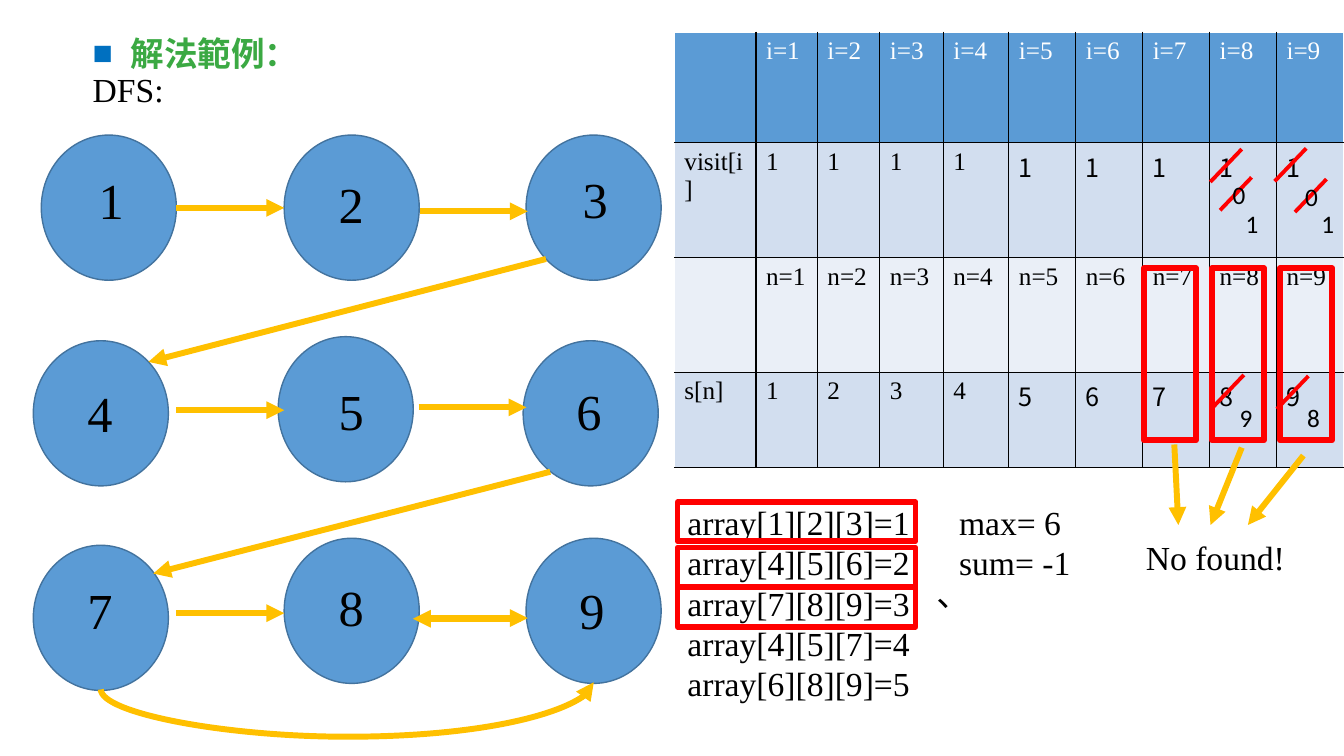
from lxml.etree import SubElement
from pptx import Presentation
from pptx.dml.color import RGBColor
from pptx.enum.lang import MSO_LANGUAGE_ID as Language
from pptx.enum.shapes import MSO_CONNECTOR as Connector, MSO_SHAPE as Shape
from pptx.enum.text import MSO_ANCHOR as Anchor, MSO_AUTO_SIZE as AutoSize
from pptx.oxml.ns import qn
from pptx.util import Pt

BLACK = RGBColor(0, 0, 0)
WHITE = RGBColor(255, 255, 255)
BLUE = RGBColor(0x5B, 0x9B, 0xD5)
DARK_BLUE = RGBColor(0x43, 0x73, 0x9E)
BULLET_BLUE = RGBColor(0x00, 0x70, 0xC0)
BAND = RGBColor(0xD2, 0xDE, 0xEF)
LIGHT_BAND = RGBColor(0xEA, 0xEF, 0xF7)
GREEN = RGBColor(0x3B, 0xA9, 0x43)
GOLD = RGBColor(0xFF, 0xC0, 0x00)
RED = RGBColor(0xFF, 0, 0)

SERIF, SANS, CJK = "Times New Roman", "Calibri", "Noto Sans CJK SC"

# digit, circle left and top, label left and top
NODES = [
    ("1", 29.5, 96.5, 63.4, 117.4), ("2", 203, 96.5, 234.7, 120.2), ("3", 375.8, 96.5, 409, 116.6),
    ("4", 23.8, 243.4, 55.4, 269.3), ("5", 198.7, 240.5, 234.7, 267.8), ("6", 373.7, 243.4, 404.6, 267.8),
    ("7", 23.8, 389.5, 55.4, 410.4), ("8", 203, 384.5, 234.7, 408.2), ("9", 375.8, 384.5, 406.8, 410.4),
]
ARROWS = [
    (126, 148.5, 203, 148.5), (300, 151, 377, 151), (390, 185, 106, 258.5),
    (126, 293, 203, 293), (299, 291, 376, 291), (393, 337, 109.5, 409.7),
    (126, 438, 203, 438), (300, 441.5, 377, 441.5), (372, 442, 295, 442),
    (838.8, 317.5, 841.7, 375), (887, 319.7, 864.7, 375), (931, 325.4, 891.4, 375),
]
STRIKES = [(933, 106), (887, 106.5), (947.5, 128), (894, 126.7), (888.5, 267.8), (934.6, 268.6)]
CORRECTIONS = [
    ("0", 925.2, 126), ("0", 873.4, 124.6), ("1", 936.7, 145.4),
    ("1", 882.7, 145.4), ("9", 878.4, 283.7), ("8", 926.6, 283.7),
]
ROWS = [
    [""] + [f"i={i}" for i in range(1, 10)],
    ["visit[i]"] + ["1"] * 9,
    [""] + [f"n={n}" for n in range(1, 10)],
    ["s[n]"] + [str(n) for n in range(1, 10)],
]
ROW_FILLS = [BLUE, BAND, LIGHT_BAND, BAND]
ROW_HEIGHTS = [79, 82, 82, 68]
COLUMN_WIDTHS = [58.3, 43.9, 44.6, 45.4, 46.8] + [47.8] * 5
ARRAY_LINES = [
    ("array[1][2][3]=1\tmax= 6", 194), ("array[4][5][6]=2\tsum= -1", 194),
    ("array[7][8][9]=3\t、", 170.5), ("array[4][5][7]=4", None), ("array[6][8][9]=5", None),
]


def set_font(para, size, name=SERIF, color=BLACK, bold=False):
    font = para.font
    font.size, font.name, font.bold = Pt(size), name, bold
    font.color.rgb = color


def add_text(page, text, left, top, width, height, size, name=SERIF):
    box = page.shapes.add_textbox(Pt(left), Pt(top), Pt(width), Pt(height))
    box.text_frame.word_wrap = True
    para = box.text_frame.paragraphs[0]
    para.text = text
    set_font(para, size, name)
    return box


def add_outline(page, kind, left, top, width, height, color, weight, fill=None):
    shape = page.shapes.add_shape(kind, Pt(left), Pt(top), Pt(width), Pt(height))
    shape.shadow.inherit = False
    shape.line.color.rgb, shape.line.width = color, Pt(weight)
    if fill is None:
        shape.fill.background()
    else:
        shape.fill.solid()
        shape.fill.fore_color.rgb = fill


def add_line(page, x1, y1, x2, y2, color, weight, head=False, kind=Connector.STRAIGHT):
    line = page.shapes.add_connector(kind, Pt(x1), Pt(y1), Pt(x2), Pt(y2))
    line.line.color.rgb, line.line.width = color, Pt(weight)
    if head:
        SubElement(line.line._get_or_add_ln(), qn("a:tailEnd"), type="triangle")
    SubElement(line._element.spPr, qn("a:effectLst"))
    return line


def add_return_curve(page):
    """Curve from node 7 below the grid to node 9: a flipped connector turned a quarter."""
    curve = add_line(page, 250.6, 666, 245.5, 313.9, GOLD, 4.25, True, Connector.CURVE)
    properties = curve._element.spPr
    properties.find(qn("a:xfrm")).set("rot", str(90 * 60000))
    guides = properties.find(qn("a:prstGeom")).find(qn("a:avLst"))
    SubElement(guides, qn("a:gd"), name="adj1", fmla="val -662600")


def fill_heading(page):
    page.shapes.title.element.getparent().remove(page.shapes.title.element)
    body = page.placeholders[1]
    body.left, body.top, body.width, body.height = Pt(59), Pt(23), Pt(827), Pt(63)
    frame = body.text_frame
    frame.text = "解法範例：\nDFS:"
    frame.vertical_anchor = Anchor.TOP
    frame.auto_size = AutoSize.NONE
    heading, method = frame.paragraphs
    for para, indent in ((heading, 27), (method, 0)):
        para.line_spacing, para.space_before = 0.9, Pt(0)
        properties = para._p.get_or_add_pPr()
        properties.set("marL", str(Pt(indent)))
        properties.set("indent", str(-Pt(indent)))
        if indent:
            bullet_color = SubElement(properties, qn("a:buClr"))
            SubElement(bullet_color, qn("a:srgbClr"), val=str(BULLET_BLUE))
            SubElement(properties, qn("a:buChar"), char="■")
        else:
            SubElement(properties, qn("a:buNone"))
    set_font(heading, 24, CJK, GREEN, True)
    SubElement(heading._p.pPr.find(qn("a:defRPr")), qn("a:ea"), typeface=CJK)
    set_font(method, 24)


def set_borders(cell, **colors):
    for side in "LRTB":
        border = SubElement(cell._tc.get_or_add_tcPr(), qn(f"a:ln{side}"), w=str(Pt(1)))
        fill = SubElement(border, qn("a:solidFill"))
        SubElement(fill, qn("a:srgbClr"), val=str(colors.get(side, BLACK)))


def add_visit_table(page):
    table = page.shapes.add_table(
        len(ROWS), len(COLUMN_WIDTHS), Pt(481.7), Pt(23),
        Pt(sum(COLUMN_WIDTHS)), Pt(sum(ROW_HEIGHTS))).table
    table.first_row = table.horz_banding = False
    for column, width in zip(table.columns, COLUMN_WIDTHS):
        column.width = Pt(width)
    for r, values in enumerate(ROWS):
        table.rows[r].height = Pt(ROW_HEIGHTS[r])
        for c, value in enumerate(values):
            cell = table.cell(r, c)
            edges = {"L": c == 0, "T": r == 0, "R": c == len(values) - 1}
            set_borders(cell, **{side: WHITE for side, outer in edges.items() if outer})
            cell.fill.solid()
            cell.fill.fore_color.rgb = ROW_FILLS[r]
            cell.text = value
            name = CJK if r in (1, 3) and c >= 5 else SERIF
            set_font(cell.text_frame.paragraphs[0], 18, name, WHITE if r == 0 else BLACK)


def add_array_list(page):
    text = "\n".join(line for line, _ in ARRAY_LINES)
    box = page.shapes.add_textbox(Pt(484), Pt(355), Pt(418), Pt(152.6))
    box.text_frame.word_wrap = True
    box.text_frame.text = text
    for para, (_, tab) in zip(box.text_frame.paragraphs, ARRAY_LINES):
        if tab:
            tabs = SubElement(para._p.get_or_add_pPr(), qn("a:tabLst"))
            SubElement(tabs, qn("a:tab"), pos=str(Pt(tab)), algn="l")
        set_font(para, 24)
        para.font.language_id = Language.TRADITIONAL_CHINESE


def main():
    deck = Presentation()
    deck.slide_width, deck.slide_height = Pt(960), Pt(540)
    page = deck.slides.add_slide(deck.slide_layouts[1])
    fill_heading(page)
    for digit, left, top, label_left, label_top in NODES:
        add_outline(page, Shape.FLOWCHART_CONNECTOR, left, top, 96.5, 103.7, DARK_BLUE, 1, BLUE)
        add_text(page, digit, label_left, label_top, 62, 51, 36)
    add_visit_table(page)
    add_array_list(page)
    for ends in ARROWS:
        add_line(page, *ends, GOLD, 4.25, head=True)
    add_return_curve(page)
    for x, y in STRIKES:
        add_line(page, x, y, x - 22.5, y + 23.5, RED, 2.75)
    for digit, left, top in CORRECTIONS:
        add_text(page, digit, left, top, 21.6, 51, 18, SANS)
    for top in (358.6, 391, 419.8):
        add_outline(page, Shape.RECTANGLE, 484, top, 170, 28, RED, 4)
    for step in range(3):
        add_outline(page, Shape.RECTANGLE, 817 + 48.6 * step, 191.5, 37.4, 123, RED, 4)
    add_text(page, "No found!", 811.4, 380, 128, 36, 24)
    deck.save("out.pptx")


if __name__ == "__main__":
    main()
